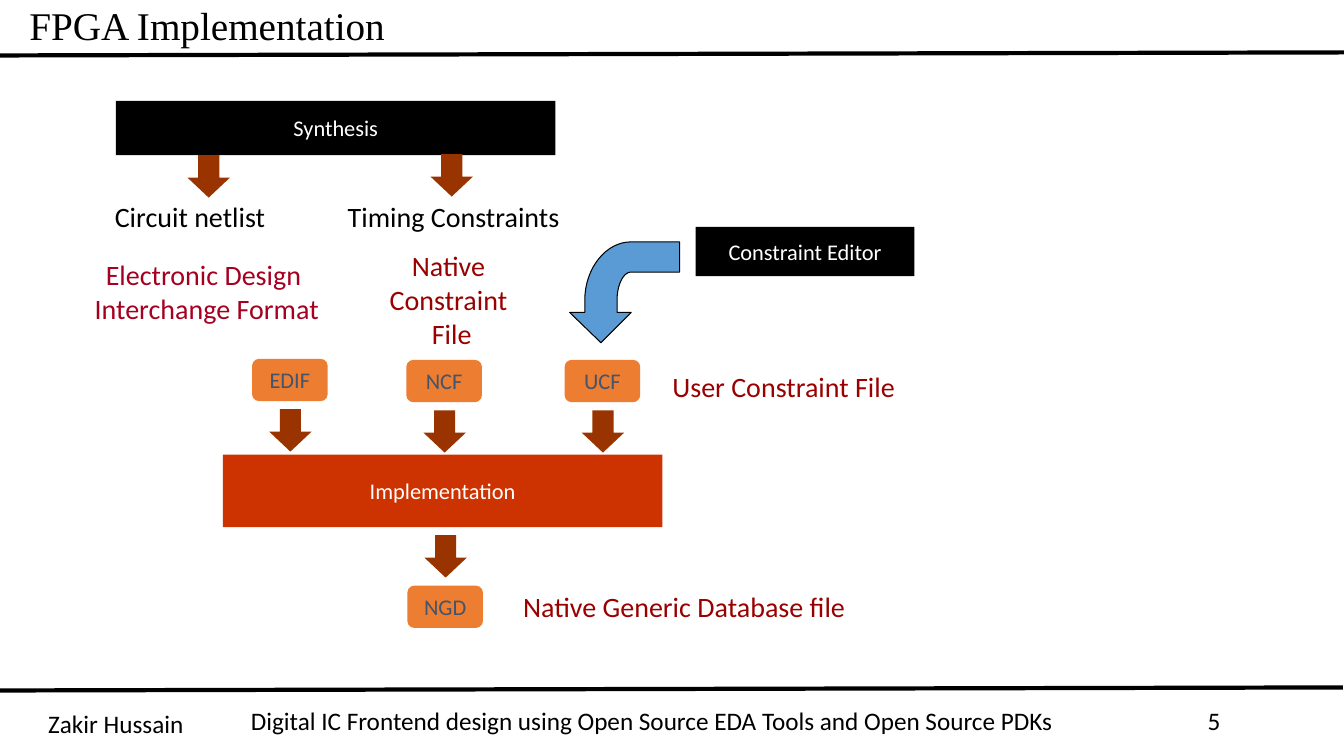
import pptx
import pptx.util
import pptx.dml.color
import pptx.enum.shapes
import pptx.enum.text
import pptx.oxml.ns
import lxml.etree
from dataclasses import dataclass

Inches = pptx.util.Inches
Shape = pptx.enum.shapes.MSO_SHAPE
Align = pptx.enum.text.PP_ALIGN
Anchor = pptx.enum.text.MSO_ANCHOR
AutoSize = pptx.enum.text.MSO_AUTO_SIZE


@dataclass(frozen=True)
class Theme:
    body_font: str = "Calibri"
    title_font: str = "Times New Roman"
    title_size: int = 28
    label_size: int = 20
    footer_size: int = 18
    block_size: int = 16
    black: str = "000000"
    white: str = "FFFFFF"
    slate: str = "44546A"
    orange: str = "ED7D31"
    red: str = "CC3300"
    brown: str = "993300"
    dark_red: str = "990000"
    crimson: str = "A50021"
    blue: str = "5B9BD5"


def rgb(value):
    return pptx.dml.color.RGBColor.from_string(value)


def write_text(frame, text, *, font, size, color, align=Align.LEFT,
               anchor=Anchor.TOP, wrap=False, spacing=None):
    """Fill a text frame, one paragraph for each line of text."""
    frame.auto_size = AutoSize.NONE
    frame.word_wrap = wrap
    frame.vertical_anchor = anchor
    for index, line in enumerate(text.split("\n")):
        para = frame.paragraphs[0] if index == 0 else frame.add_paragraph()
        para.alignment = align
        if spacing:
            para.line_spacing = spacing
        span = para.add_run()
        span.text = line
        span.font.name = font
        span.font.size = pptx.util.Pt(size)
        span.font.color.rgb = rgb(color)


def curve(start, first, second, end, steps=16):
    """Return points along a cubic Bezier curve, including both ends."""
    points = []
    for step in range(steps + 1):
        t = step / steps
        weights = ((1 - t) ** 3, 3 * t * (1 - t) ** 2, 3 * t * t * (1 - t), t ** 3)
        points.append(tuple(
            sum(weight * value for weight, value in zip(weights, axis))
            for axis in zip(start, first, second, end)))
    return points


class FlowSlide:
    def __init__(self, page, theme):
        self.page = page
        self.theme = theme

    def title(self, text, left, top, width, height):
        box = self.page.shapes.title
        box.left, box.top = Inches(left), Inches(top)
        box.width, box.height = Inches(width), Inches(height)
        write_text(box.text_frame, text, font=self.theme.title_font,
                   size=self.theme.title_size, color=self.theme.black,
                   wrap=True, spacing=0.9)

    def rule(self, x1, y1, x2, y2):
        line = self.page.shapes.add_connector(
            pptx.enum.shapes.MSO_CONNECTOR.STRAIGHT,
            Inches(x1), Inches(y1), Inches(x2), Inches(y2))
        line.line.color.rgb = rgb(self.theme.black)
        line.line.width = pptx.util.Pt(3)
        properties = line._element.spPr
        lxml.etree.SubElement(properties, pptx.oxml.ns.qn("a:effectLst"))

    def label(self, text, left, top, width, height, **style):
        box = self.page.shapes.add_textbox(
            Inches(left), Inches(top), Inches(width), Inches(height))
        style = {"font": self.theme.body_font, "size": self.theme.label_size,
                 "color": self.theme.black, **style}
        write_text(box.text_frame, text, **style)

    def footer(self, text, left, top, width):
        self.label(text, left, top, width, 0.4, size=self.theme.footer_size, wrap=True)

    def shape(self, kind, left, top, width, height, fill):
        shape = self.page.shapes.add_shape(
            kind, Inches(left), Inches(top), Inches(width), Inches(height))
        shape.shadow.inherit = False
        shape.fill.solid()
        shape.fill.fore_color.rgb = rgb(fill)
        shape.line.fill.background()
        return shape

    def block(self, text, left, top, width, height, fill,
              kind=Shape.RECTANGLE, color=None):
        shape = self.shape(kind, left, top, width, height, fill)
        write_text(shape.text_frame, text, font=self.theme.body_font,
                   size=self.theme.block_size, color=color or self.theme.white,
                   align=Align.CENTER, anchor=Anchor.MIDDLE)

    def arrow(self, left, top):
        shape = self.shape(Shape.DOWN_ARROW, left, top, 0.42, 0.42, self.theme.brown)
        shape.adjustments[1] = 0.47

    def file_tag(self, text, left, top, arrow_shift):
        """Draw a rounded file tag and the arrow above or below it."""
        self.block(text, left, top, 0.75, 0.42, self.theme.orange,
                   kind=Shape.ROUNDED_RECTANGLE, color=self.theme.slate)
        self.arrow(left + 0.17, top + arrow_shift)

    def bent_arrow(self):
        outer = curve((5.8, 2.98), (5.8, 2.66), (6.01, 2.4), (6.26, 2.4))
        inner = curve((6.26, 2.7), (6.18, 2.7), (6.12, 2.83), (6.12, 2.98))
        outline = [(5.96, 3.4), (5.65, 3.1), (5.8, 3.1), *outer,
                   (6.74, 2.4), (6.74, 2.7), *inner, (6.12, 3.1), (6.26, 3.1)]
        points = [(Inches(x), Inches(y)) for x, y in outline]
        builder = self.page.shapes.build_freeform(*points[0])
        builder.add_line_segments(points[1:], close=True)
        shape = builder.convert_to_shape()
        shape.shadow.inherit = False
        shape.fill.solid()
        shape.fill.fore_color.rgb = rgb(self.theme.blue)
        shape.line.color.rgb = rgb(self.theme.black)
        shape.line.width = pptx.util.Pt(0.75)


def main():
    deck = pptx.Presentation()
    deck.slide_width, deck.slide_height = Inches(13.33), Inches(7.5)
    theme = Theme()
    flow = FlowSlide(deck.slides.add_slide(deck.slide_layouts[5]), theme)

    flow.rule(0, 0.55, 13.33, 0.52)
    flow.rule(-0.01, 6.85, 13.32, 6.82)
    flow.title("FPGA Implementation", 0.19, 0.02, 4, 0.51)
    flow.footer("Zakir Hussain", 0.38, 6.98, 1.68)
    flow.footer("Digital IC Frontend design using Open Source EDA Tools "
                "and Open Source PDKs", 2.39, 6.95, 8.6)
    flow.footer("5", 11.88, 6.95, 0.54)

    flow.block("Synthesis", 1.15, 1, 4.36, 0.54, theme.black)
    flow.block("Constraint Editor", 6.9, 2.25, 2.17, 0.49, theme.black)
    flow.block("Implementation", 2.21, 4.51, 4.36, 0.72, theme.red)

    flow.arrow(1.86, 1.54)
    flow.arrow(4.27, 1.53)
    flow.bent_arrow()
    for name, left, top, arrow_shift in (
            ("EDIF", 2.5, 3.56, 0.5), ("NCF", 4.03, 3.57, 0.5),
            ("UCF", 5.6, 3.57, 0.5), ("NGD", 4.04, 5.81, -0.5)):
        flow.file_tag(name, left, top, arrow_shift)

    flow.label("Circuit netlist", 1.04, 1.93, 1.79, 0.43)
    flow.label("Timing Constraints", 3.35, 1.93, 2.52, 0.43)
    flow.label("Electronic Design \nInterchange Format", 0.74, 2.51, 2.62, 0.77,
               color=theme.crimson, align=Align.CENTER)
    flow.label("Native \nConstraint \nFile", 3.71, 2.42, 1.54, 1.1,
               color=theme.dark_red, align=Align.CENTER)
    flow.label("User Constraint File", 6.57, 3.62, 2.66, 0.43, color=theme.dark_red)
    flow.label("Native Generic Database file", 5.09, 5.8, 3.74, 0.43,
               color=theme.dark_red)

    deck.save("out.pptx")


if __name__ == "__main__":
    main()
